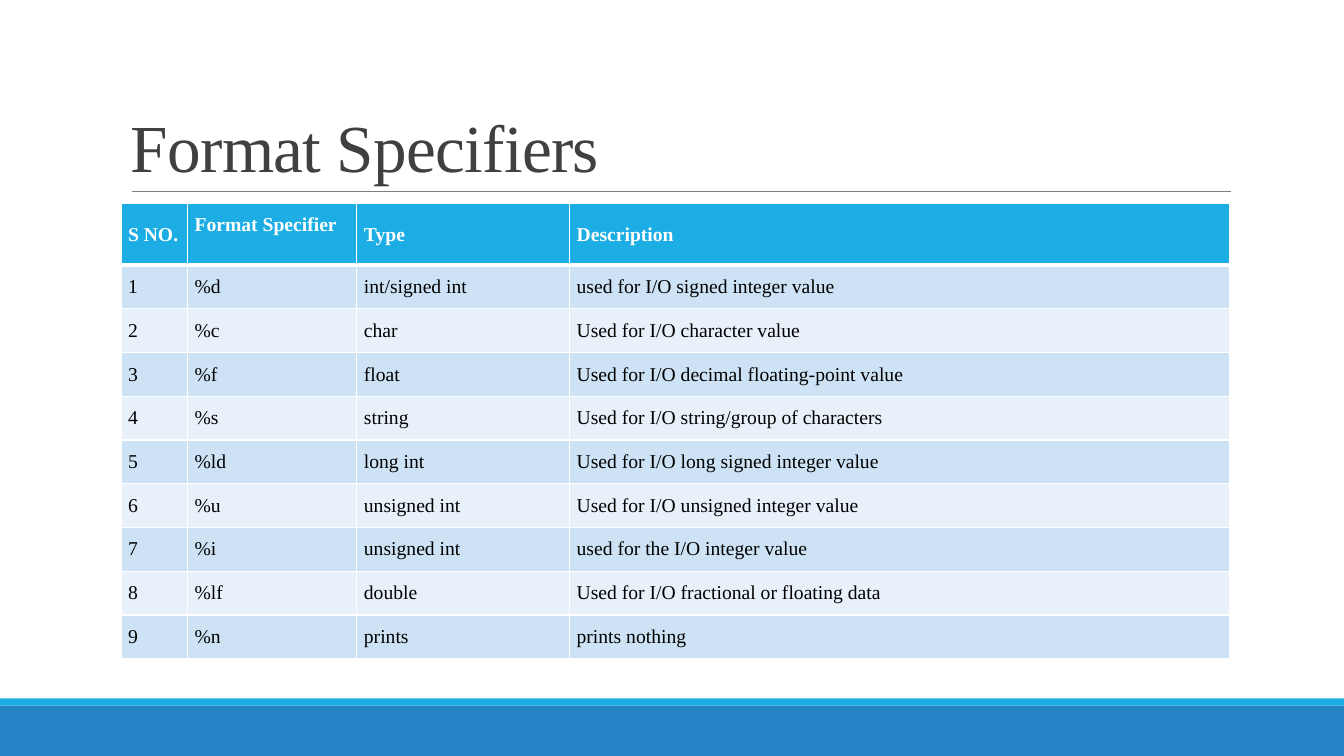
import pptx
import pptx.util
import pptx.dml.color
import pptx.enum.shapes
import pptx.enum.text
import pptx.oxml
import pptx.oxml.ns
import lxml.etree

Inches = pptx.util.Inches
Pt = pptx.util.Pt
RGBColor = pptx.dml.color.RGBColor
ANCHOR = pptx.enum.text.MSO_ANCHOR
qn = pptx.oxml.ns.qn

WHITE = RGBColor(0xFF, 0xFF, 0xFF)
BLACK = RGBColor(0, 0, 0)
TITLE = RGBColor(0x40, 0x40, 0x40)
RULE = RGBColor(0x80, 0x80, 0x80)
CYAN = RGBColor(0x1C, 0xAD, 0xE4)
BLUE = RGBColor(0x26, 0x83, 0xC6)
BAND_DARK = RGBColor(0xCD, 0xE3, 0xF5)
BAND_LIGHT = RGBColor(0xE8, 0xF1, 0xFA)

COL_WIDTHS = [0.66, 1.68, 2.11, 6.55]
HEADER_HEIGHT, ROW_HEIGHT = 0.61, 0.41
ROWS = [
    ("S NO.", "Format Specifier", "Type", "Description"),
    ("1", "%d", "int/signed int", "used for I/O signed integer value"),
    ("2", "%c", "char", "Used for I/O character value"),
    ("3", "%f", "float", "Used for I/O decimal floating-point value"),
    ("4", "%s", "string", "Used for I/O string/group of characters"),
    ("5", "%ld", "long int", "Used for I/O long signed integer value"),
    ("6", "%u", "unsigned int", "Used for I/O unsigned integer value"),
    ("7", "%i", "unsigned int", "used for the I/O integer value"),
    ("8", "%lf", "double", "Used for I/O fractional or floating data"),
    ("9", "%n", "prints", "prints nothing"),
]


def write(tf, text, size=14, color=BLACK, bold=False, spacing=None, line=None):
    p = tf.paragraphs[0]
    p.line_spacing = line
    r = p.add_run()
    r.text = text
    r.font.name = "Times New Roman"
    r.font.size = Pt(size)
    r.font.bold = bold
    r.font.color.rgb = color
    if spacing is not None:
        r.font._element.set("spc", str(int(spacing * 100)))


def set_borders(cell, widths):
    tcPr = cell._tc.get_or_add_tcPr()
    for i, (side, width) in enumerate(widths.items()):
        ln = lxml.etree.Element(qn("a:ln" + side), w=str(Pt(width)))
        fill = lxml.etree.SubElement(ln, qn("a:solidFill"))
        lxml.etree.SubElement(fill, qn("a:srgbClr"), val=str(WHITE))
        tcPr.insert(i, ln)


prs = pptx.Presentation()
prs.slide_width, prs.slide_height = Inches(13.33), Inches(7.5)
s = prs.slides.add_slide(prs.slide_layouts[6])

for top, height, color in [(7, 0.5, BLUE), (6.93, 0.07, CYAN)]:
    sp = s.shapes.add_shape(pptx.enum.shapes.MSO_SHAPE.RECTANGLE,
                            0, Inches(top), prs.slide_width, Inches(height))
    sp.shadow.inherit = False
    sp.fill.solid()
    sp.fill.fore_color.rgb = color
    sp.line.fill.background()

rule = s.shapes.add_connector(pptx.enum.shapes.MSO_CONNECTOR.STRAIGHT,
                              Inches(1.31), Inches(1.9), Inches(12.21), Inches(1.9))
rule.line.color.rgb = RULE
rule.line.width = Pt(0.5)
lxml.etree.SubElement(rule._element.spPr, qn("a:effectLst"))

title = s.shapes.add_textbox(Inches(1.2), Inches(0.31), Inches(11), Inches(1.59))
tf = title.text_frame
tf.word_wrap = True
tf.vertical_anchor = ANCHOR.BOTTOM
write(tf, "Format Specifiers", size=48, color=TITLE, spacing=-0.5, line=0.85)

table_height = HEADER_HEIGHT + ROW_HEIGHT * (len(ROWS) - 1)
table = s.shapes.add_table(len(ROWS), len(COL_WIDTHS), Inches(1.2), Inches(2.02),
                           Inches(sum(COL_WIDTHS)), Inches(table_height)).table
for column, width in zip(table.columns, COL_WIDTHS):
    column.width = Inches(width)

for i, values in enumerate(ROWS):
    header = i == 0
    table.rows[i].height = Inches(HEADER_HEIGHT if header else ROW_HEIGHT)
    band = CYAN if header else BAND_DARK if i % 2 else BAND_LIGHT
    for j, text in enumerate(values):
        cell = table.cell(i, j)
        cell.margin_left = cell.margin_right = Inches(0.07)
        cell.margin_top = cell.margin_bottom = Inches(0.1)
        cell.vertical_anchor = ANCHOR.TOP if header and j == 1 else ANCHOR.MIDDLE
        cell.fill.solid()
        cell.fill.fore_color.rgb = band
        set_borders(cell, {"L": 1, "R": 1, "T": 3 if i == 1 else 1, "B": 3 if header else 1})
        write(cell.text_frame, text, color=WHITE if header else BLACK, bold=header)

prs.save("out.pptx")
